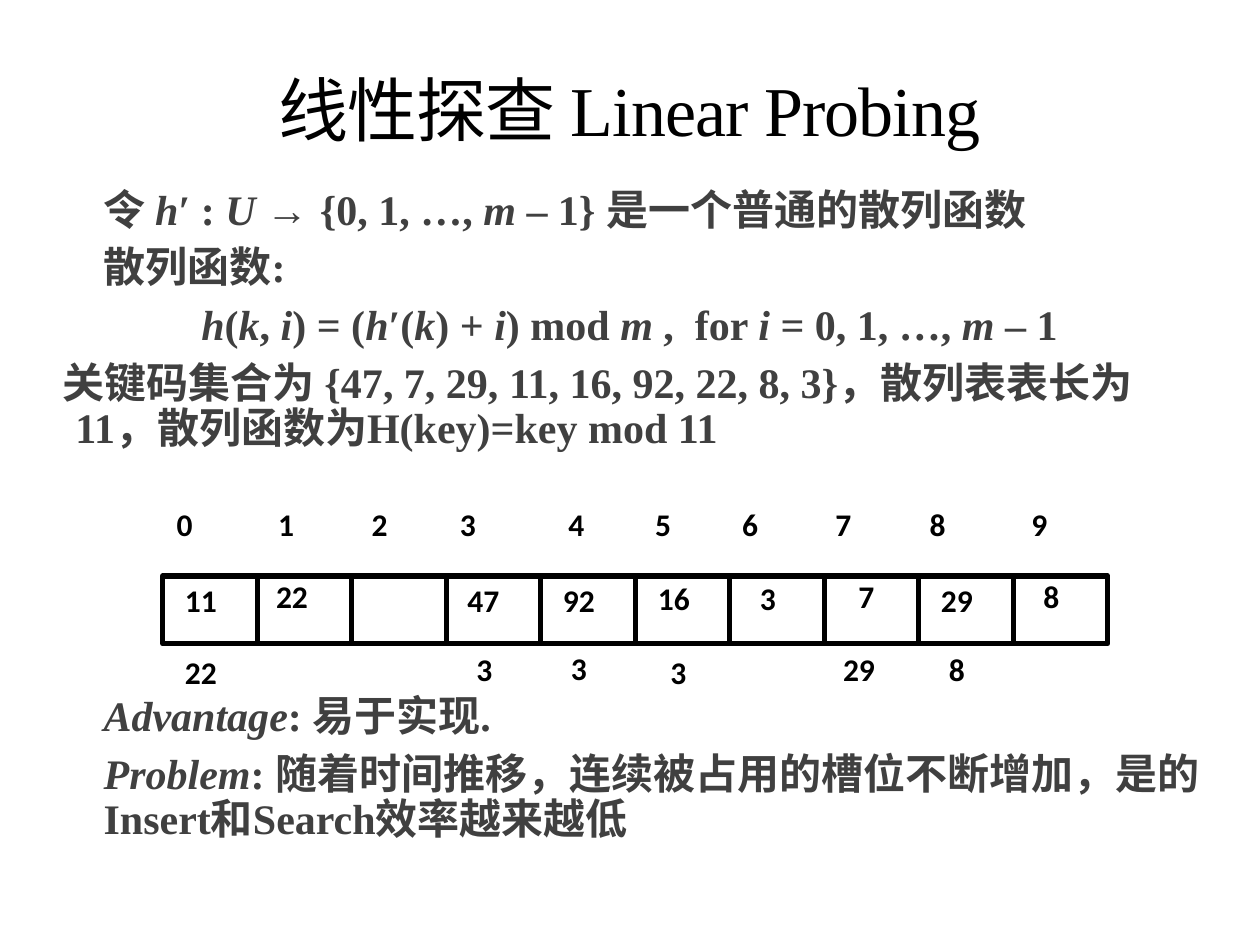
from lxml import etree
from pptx import Presentation
from pptx.dml.color import RGBColor
from pptx.enum.shapes import MSO_SHAPE
from pptx.enum.text import MSO_ANCHOR, MSO_AUTO_SIZE, PP_ALIGN
from pptx.oxml.ns import qn
from pptx.util import Cm, Pt

RECTANGLE = MSO_SHAPE.RECTANGLE
MIDDLE = MSO_ANCHOR.MIDDLE
CENTER = PP_ALIGN.CENTER
GROW = MSO_AUTO_SIZE.SHAPE_TO_FIT_TEXT

TITLE = "线性探查 Linear Probing"

# (text with *italic* parts, left margin in cm, first-line indent in cm)
DEFINITION = [
    ("令 *h*′ : *U *→ **{0, 1, …, *m* – 1} 是一个普通的散列函数", 0.82, 0),
    ("散列函数:", 0.82, 0),
    ("*h*(*k*, *i*) = (*h*′(*k*) + *i*) mod *m* ,  for *i* = 0, 1, …, *m* – 1", 2.79, 0),
    ("关键码集合为 {47, 7, 29, 11, 16, 92, 22, 8, 3}，散列表表长为11，"
     "散列函数为H(key)=key mod 11", 0.25, -0.25),
]
EVALUATION = [
    ("*Advantage*: 易于实现.", 0.82, 0),
    ("*Problem*: 随着时间推移，连续被占用的槽位不断增加，"
     "是的Insert和Search效率越来越低", 0.82, 0),
]

# Slot number: tab position in cm from the left of the table
INDEX_TABS = [0.28, 2.33, 4.21, 5.99, 8.18, 9.93, 11.68, 13.56, 15.46, 17.51]

# (slot, key, offset from the slot's left, top) in cm
STORED = [
    (0, "11", 0.45, 11.71), (1, "22", 0.38, 11.63), (3, "47", 0.43, 11.71),
    (4, "92", 0.45, 11.71), (5, "16", 0.46, 11.68), (6, "3", 0.61, 11.68),
    (7, "7", 0.69, 11.63), (8, "29", 0.45, 11.71), (9, "8", 0.61, 11.63),
]
COLLIDED = [
    (0, "22", 0.45, 13.16), (3, "3", 0.61, 13.11), (4, "3", 0.61, 13.08),
    (5, "3", 0.71, 13.16), (7, "29", 0.38, 13.11), (8, "8", 0.61, 13.11),
]

TABLE_LEFT, TABLE_TOP, TABLE_WIDTH, TABLE_HEIGHT = 3.28, 11.61, 19.05, 1.37
SLOT_WIDTH = TABLE_WIDTH / len(INDEX_TABS)

TITLE_FONT = {"name": "Times New Roman", "size": Pt(40), "bold": False}
BODY_FONT = {"name": "Times New Roman", "size": Pt(24), "bold": True}
ARROW_FONT = {"name": "Arial", "size": Pt(24), "bold": False}
KEY_FONT = {"name": "Calibri", "size": Pt(18), "bold": True}


def color(value):
    return RGBColor.from_string(value)


def add_span(para, text, font, hex_color):
    span = para.add_run()
    span.text = text
    for name, value in font.items():
        setattr(span.font, name, value)
    span.font.color.rgb = color(hex_color)
    return span


def clear_insets(frame):
    for side in ("left", "top", "right", "bottom"):
        setattr(frame, f"margin_{side}", 0)
    frame.word_wrap = True


def add_box(page, left, top, width, height):
    box = page.shapes.add_textbox(Cm(left), Cm(top), Cm(width), Cm(height))
    clear_insets(box.text_frame)
    return box.text_frame


def add_body(page, top, height, lines):
    frame = add_box(page, 1.27, top, 23.06, height)
    for number, (text, margin, indent) in enumerate(lines):
        para = frame.add_paragraph() if number else frame.paragraphs[0]
        properties = para._p.get_or_add_pPr()
        properties.set("marL", str(Cm(margin)))
        properties.set("indent", str(Cm(indent)))
        para.line_spacing = 0.9
        para.space_before = Pt(5 if number else 0)
        para.space_after = Pt(2)
        for position, part in enumerate(text.split("*")):
            if part:
                font = ARROW_FONT if part.startswith("→") else BODY_FONT
                span = add_span(para, part, font, "404040")
                span.font.italic = position % 2 == 1


def add_key(page, slot, key, offset, top):
    left = TABLE_LEFT + slot * SLOT_WIDTH + offset
    frame = add_box(page, left, top, 0.64 * len(key), 0.76)
    frame.auto_size = GROW
    add_span(frame.paragraphs[0], key, KEY_FONT, "000000")


def add_slots(page):
    for slot in range(len(INDEX_TABS)):
        cell = page.shapes.add_shape(
            RECTANGLE, Cm(TABLE_LEFT + slot * SLOT_WIDTH), Cm(TABLE_TOP),
            Cm(SLOT_WIDTH), Cm(TABLE_HEIGHT))
        cell.shadow.inherit = False
        cell.fill.background()
        cell.line.color.rgb = color("000000")
        cell.line.width = Pt(3)


def add_indices(page):
    frame = add_box(page, TABLE_LEFT, 10.19, TABLE_WIDTH, 0.76)
    frame.auto_size = GROW
    para = frame.paragraphs[0]
    stops = etree.SubElement(para._p.get_or_add_pPr(), qn("a:tabLst"))
    for position in INDEX_TABS:
        etree.SubElement(stops, qn("a:tab"), pos=str(Cm(position)), algn="l")
    text = "".join(f"\t{slot}" for slot in range(len(INDEX_TABS)))
    add_span(para, text, KEY_FONT, "000000")


def add_title(page):
    title = page.shapes.title
    title.left, title.top = Cm(1.9), Cm(1.27)
    title.width, title.height = Cm(21.59), Cm(2.11)
    frame = title.text_frame
    clear_insets(frame)
    frame.vertical_anchor = MIDDLE
    para = frame.paragraphs[0]
    para.alignment = CENTER
    para.line_spacing = 0.85
    span = add_span(para, TITLE, TITLE_FONT, "000000")
    span._r.get_or_add_rPr().set("spc", "-50")


def main():
    deck = Presentation()
    deck.slide_width, deck.slide_height = Cm(25.4), Cm(19.05)
    page = deck.slides.add_slide(deck.slide_layouts[5])
    add_title(page)
    add_body(page, 3.81, 5.6, DEFINITION)
    add_body(page, 14.02, 3.6, EVALUATION)
    add_slots(page)
    add_indices(page)
    for mark in STORED + COLLIDED:
        add_key(page, *mark)
    deck.save("out.pptx")


if __name__ == "__main__":
    main()
